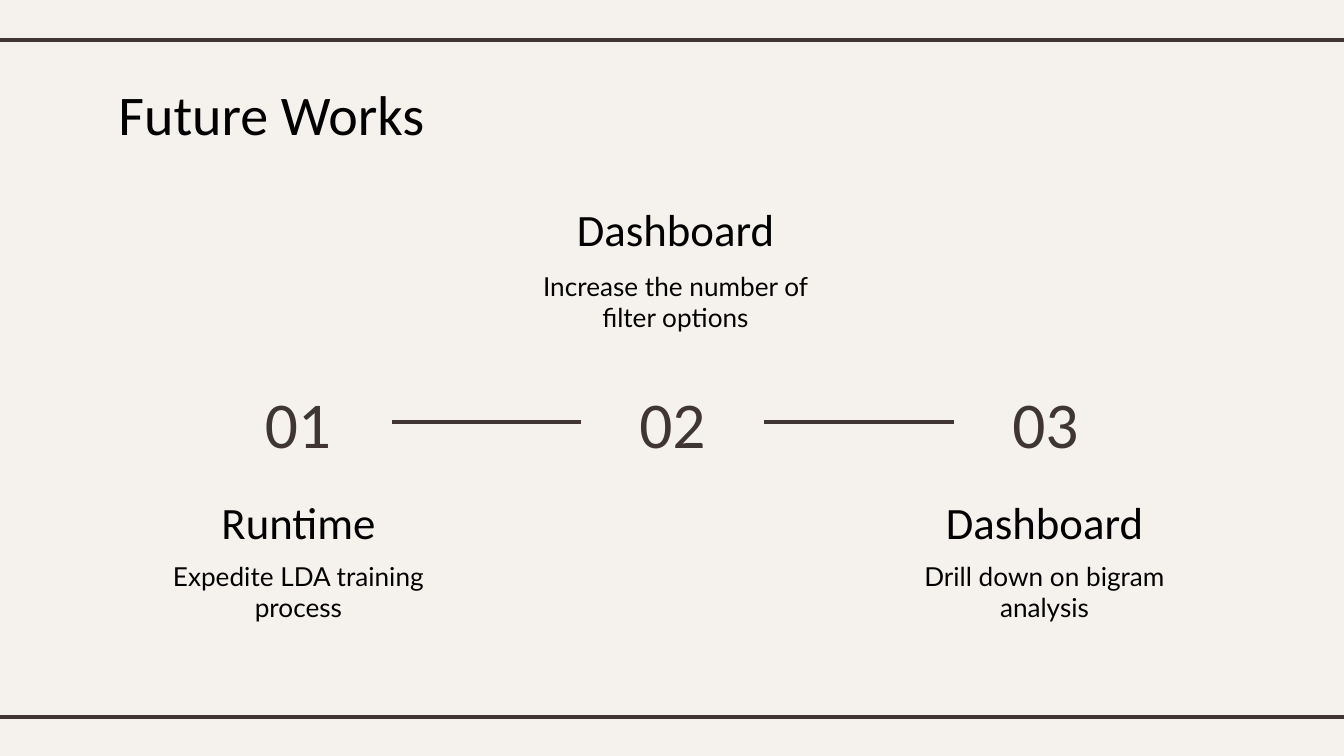
from lxml.etree import SubElement
from pptx import Presentation
from pptx.dml.color import RGBColor as Rgb
from pptx.enum.shapes import MSO_CONNECTOR as Conn
from pptx.enum.text import MSO_ANCHOR as Anchor, PP_ALIGN as Align
from pptx.oxml.ns import qn
from pptx.util import Inches, Pt

PX = 914400 / 134.4
COLORS = {"paper": "F5F2EE", "brown": "3F3533", "black": "000000", "ink": "020202"}
STEPS = [
    ("01", 204, 188, 138, 496, 51, "Runtime", "Expedite LDA training process"),
    ("02", 581, 183, 515, 203, 54, "Dashboard", "Increase the number of filter options"),
    ("03", 954, 183, 884, 496, 51, "Dashboard", "Drill down on bigram analysis"),
]


def px(n):
    return round(n * PX)


def color(name):
    return Rgb.from_string(COLORS[name])


def write(shape, text, size, font, tone, align, anchor):
    frame = shape.text_frame
    frame.word_wrap = True
    frame.vertical_anchor = anchor
    frame.margin_left = frame.margin_right = Inches(0.1)
    frame.margin_top = frame.margin_bottom = Inches(0.1)
    para = frame.paragraphs[0]
    para.alignment = align
    run = para.add_run()
    run.text = text
    run.font.size = Pt(size)
    run.font.name = font
    run.font.color.rgb = color(tone)


def add_title(slide, text):
    title = slide.shapes.title
    title.left, title.top, title.width, title.height = map(px, (105, 66, 1134, 85))
    write(title, text, 30, "Calibri", "black", Align.LEFT, Anchor.TOP)


def add_text(slide, box, text, size, font, tone, anchor=Anchor.MIDDLE):
    shape = slide.shapes.add_textbox(*map(px, box))
    write(shape, text, size, font, tone, Align.CENTER, anchor)
    return shape


def add_line(slide, left, right, y):
    line = slide.shapes.add_connector(Conn.STRAIGHT, px(left), px(y), px(right), px(y))
    line.line.color.rgb = color("brown")
    line.line.width = Pt(2.25)
    SubElement(line._element.spPr, qn("a:effectLst"))
    return line


def add_step(slide, num, left, width, x, y, gap, head, body):
    add_text(slide, (x, y, 321, 52), head, 24, "Calibri", "black")
    add_text(slide, (x, y + gap, 321, 85), body, 14, "Lato", "ink", Anchor.TOP)
    return add_text(slide, (left, 373, width, 98), num, 35, "Calibri", "brown")


def join(slide, start, end):
    line = add_line(slide, 0, 0, 0)
    line.begin_connect(start, 3)
    line.end_connect(end, 1)


def main():
    deck = Presentation()
    deck.slide_width, deck.slide_height = px(1344), px(756)
    slide = deck.slides.add_slide(deck.slide_layouts[5])
    fill = slide.background.fill
    fill.solid()
    fill.fore_color.rgb = color("paper")
    for y in (40, 717):
        add_line(slide, -11, 1355, y)
    add_title(slide, "Future Works")
    nums = [add_step(slide, *step) for step in STEPS]
    for start, end in zip(nums, nums[1:]):
        join(slide, start, end)
    deck.save("out.pptx")


if __name__ == "__main__":
    main()
